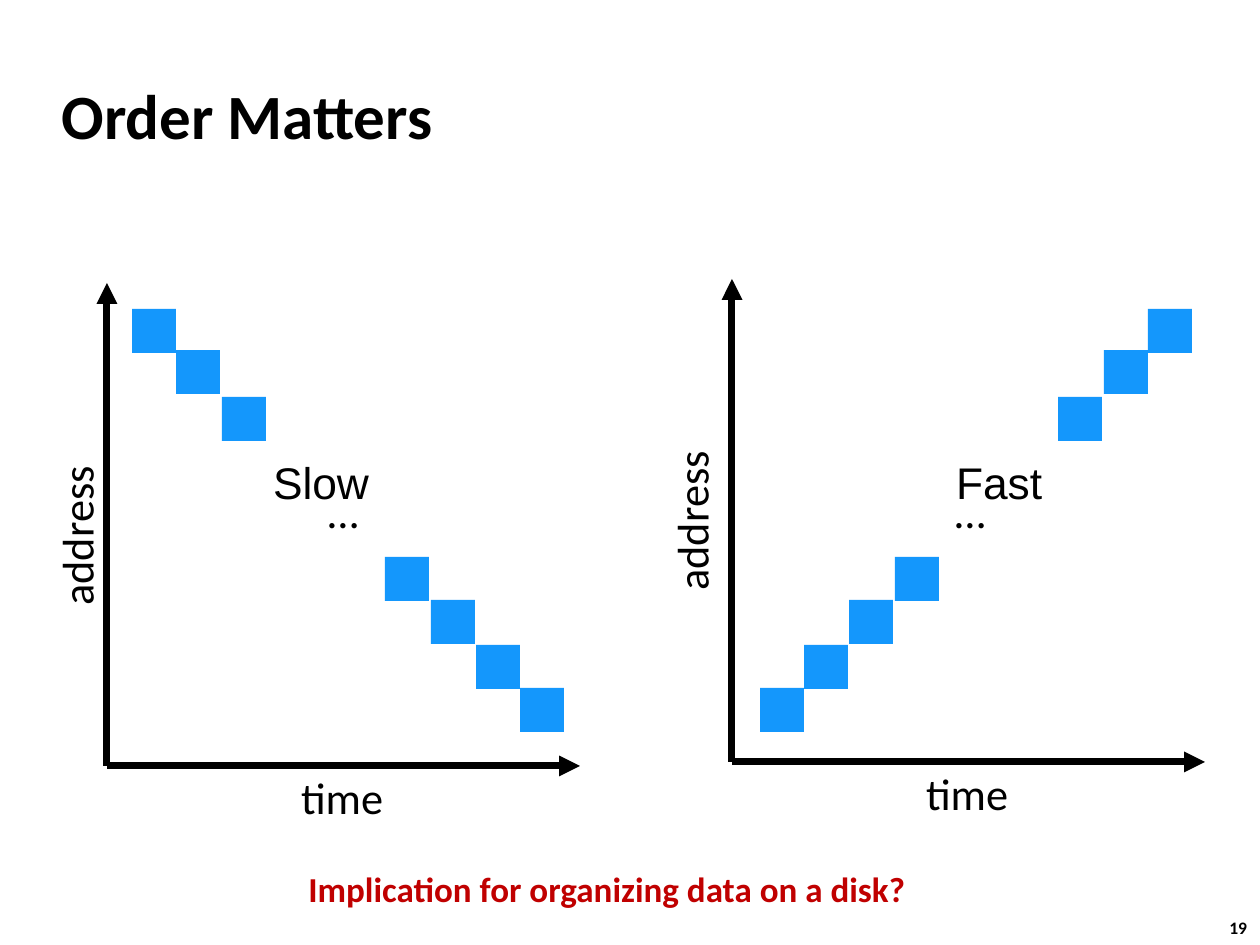
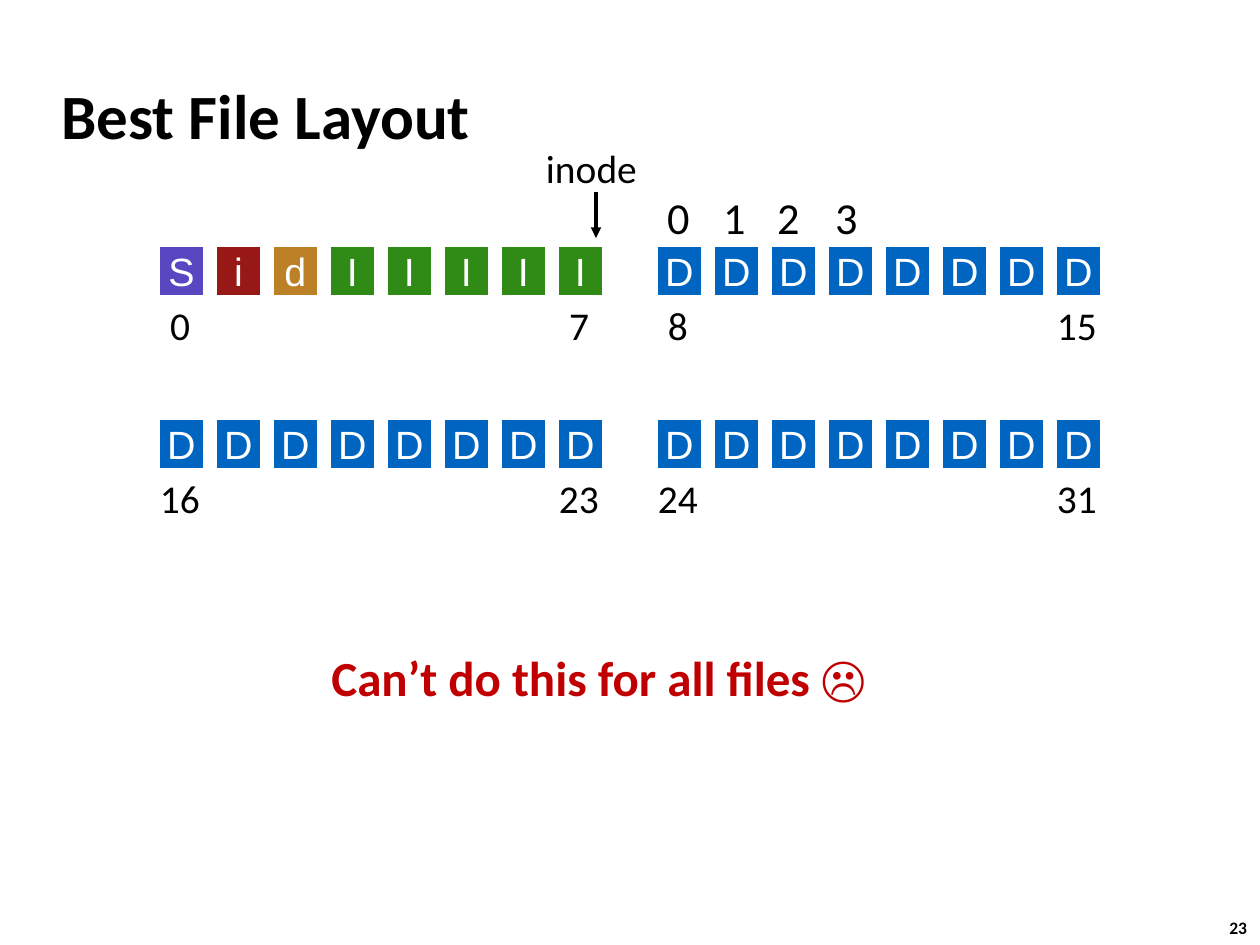
from dataclasses import dataclass

from lxml.etree import SubElement
from pptx import Presentation
from pptx.dml.color import RGBColor
from pptx.enum.shapes import MSO_CONNECTOR as CONN, MSO_SHAPE as SHAPE
from pptx.enum.text import MSO_ANCHOR as ANCHOR, MSO_AUTO_SIZE as AUTO, PP_ALIGN as ALIGN
from pptx.oxml.ns import qn
from pptx.util import Emu, Pt


@dataclass(frozen=True)
class Theme:
    head: str = "Calibri"
    body: str = "Arial"
    ink: str = "000000"
    paper: str = "FFFFFF"
    accent: str = "C00000"
    access: str = "1497FC"
    title: float = 36
    remark: float = 28
    question: float = 20
    label: float = 25.3
    cell: float = 22.5
    number: float = 10


T = Theme()
EMU_PER_PX = 914400 / 126
SLIDE = (1260, 945)
TITLE_BOX = (49, 62, 1046, 105)
NUMBER_BOX = (1217, 911, 47, 34)
TITLE_ONLY = 5

ORDER = {"title": "Order Matters", "number": "19"}
LAYOUT = {"title": "Best File Layout", "number": "23"}

# Access plots: disk blocks touched over time
AXIS_X, AXIS_Y = 473, 483
BLOCK = 44
RISING = [(760, 688), (804, 645), (849, 600), (895, 557),
          (1058, 397), (1104, 350), (1148, 309)]
MIRROR = 1280
FALLING = [(MIRROR - x, y) for x, y in RISING]
PLOTS = [
    {"origin": (732, 762), "blocks": RISING, "address": (616, 489),
     "dots": (950, 479), "speed": ("Fast", (951, 450, 97, 63))},
    {"origin": (107, 766), "blocks": FALLING, "address": (1, 504),
     "dots": (323, 479), "speed": ("Slow", (268, 450, 107, 63))},
]
QUESTION = ("Implication for organizing data on a disk?", (296, 861, 627, 55))

# Disk map: groups of eight blocks, two groups to a row
DISK = ["SidIIIII", "DDDDDDDD", "DDDDDDDD", "DDDDDDDD"]
KIND_FILL = {"S": "5747C1", "i": "971817", "d": "BC8027", "I": "308B16", "D": "0065C1"}
GROUP_X, ROW_Y = (157, 655), (244, 417)
CELL_W, CELL_H, PITCH = 49, 54, 57
DIGITS_W = {1: 30, 2: 50}
FILE_BLOCK_X = [662, 718, 772, 830]
INODE = ("inode", (541, 139, 102, 58))
INODE_ARROW = ((596, 192), (596, 238))
REMARK = ("Can’t do this for all files ☹", (319, 641, 563, 72))


def px(n):
    return Emu(round(n * EMU_PER_PX))


def rgb(color):
    return RGBColor.from_string(color)


def style(p, size, color=T.ink, font=T.head, bold=False):
    p.font.name, p.font.size, p.font.bold = font, Pt(size), bold
    p.font.color.rgb = rgb(color)


def set_insets(tf, inset):
    tf.margin_left = tf.margin_top = tf.margin_right = tf.margin_bottom = px(inset)


def add_text(s, text, box, size, **look):
    tb = s.shapes.add_textbox(*map(px, box))
    tf = tb.text_frame
    tf.word_wrap, tf.auto_size = False, AUTO.SHAPE_TO_FIT_TEXT
    tf.text = text
    style(tf.paragraphs[0], size, **look)
    return tb


def add_label(s, text, box, size=T.label, **look):
    """Add text with tight margins, centred vertically in its box."""
    tb = add_text(s, text, box, size, **look)
    tb.text_frame.vertical_anchor = ANCHOR.MIDDLE
    set_insets(tb.text_frame, 5)
    return tb


def add_rect(s, box, fill):
    sp = s.shapes.add_shape(SHAPE.RECTANGLE, *map(px, box))
    sp.shadow.inherit = False
    sp.fill.solid()
    sp.fill.fore_color.rgb = rgb(fill)
    sp.line.fill.background()
    return sp


def add_arrow(s, start, end, width):
    cx = s.shapes.add_connector(CONN.STRAIGHT, *map(px, start + end))
    cx.line.color.rgb = rgb(T.ink)
    cx.line.width = Pt(width)
    SubElement(cx.line._get_or_add_ln(), qn("a:tailEnd"), type="triangle")
    SubElement(cx._element.spPr, qn("a:effectLst"))


def add_slide(prs, title, number):
    s = prs.slides.add_slide(prs.slide_layouts[TITLE_ONLY])
    sp = s.shapes.title
    sp.left, sp.top, sp.width, sp.height = map(px, TITLE_BOX)
    tf = sp.text_frame
    tf.text = title
    tf.auto_size, tf.vertical_anchor = AUTO.NONE, ANCHOR.MIDDLE
    p = tf.paragraphs[0]
    p.alignment = ALIGN.LEFT
    style(p, T.title, bold=True)
    add_text(s, number, NUMBER_BOX, T.number, bold=True)
    return s


def add_plot(s, plot):
    x, y = plot["origin"]
    add_arrow(s, (x, y), (x + AXIS_X, y), 4)
    add_arrow(s, (x, y), (x, y - AXIS_Y), 4)
    add_label(s, "time", (x + 189, y - 1, 93, 63))
    add_label(s, "address", (*plot["address"], 150, 63)).rotation = 270
    for corner in plot["blocks"]:
        add_rect(s, (*corner, BLOCK, BLOCK), T.access)
    add_label(s, "…", (*plot["dots"], 40, 63))
    add_label(s, *plot["speed"], font=T.body)


def add_cell(s, kind, x, y):
    sp = add_rect(s, (x, y, CELL_W, CELL_H), KIND_FILL[kind])
    sp.line.color.rgb = rgb(T.paper)
    sp.line.width = Pt(3)
    tf = sp.text_frame
    tf.text = kind
    tf.vertical_anchor = ANCHOR.MIDDLE
    set_insets(tf, 0)
    p = tf.paragraphs[0]
    p.alignment = ALIGN.CENTER
    style(p, T.cell, T.paper, T.body)


def add_group(s, index, kinds):
    """Draw one group of blocks and number its first and last block."""
    row, col = divmod(index, len(GROUP_X))
    y = ROW_Y[row]
    for i, kind in enumerate(kinds):
        x = GROUP_X[col] + i * PITCH
        add_cell(s, kind, x, y)
        if i in (0, len(kinds) - 1):
            number = str(index * len(kinds) + i)
            w = DIGITS_W[len(number)]
            add_label(s, number, (x + (CELL_W - w) // 2 - 1, y + 52, w, 58), T.cell)


def build_order(prs):
    s = add_slide(prs, **ORDER)
    for plot in PLOTS:
        add_plot(s, plot)
    add_text(s, *QUESTION, T.question, color=T.accent, bold=True)


def build_layout(prs):
    s = add_slide(prs, **LAYOUT)
    for index, kinds in enumerate(DISK):
        add_group(s, index, kinds)
    for i, x in enumerate(FILE_BLOCK_X):
        add_label(s, str(i), (x, 185, 33, 63))
    add_label(s, *INODE, T.cell)
    add_arrow(s, *INODE_ARROW, 2)
    add_text(s, *REMARK, T.remark, color=T.accent, bold=True)


def main():
    prs = Presentation()
    prs.slide_width, prs.slide_height = map(px, SLIDE)
    build_order(prs)
    build_layout(prs)
    prs.save("out.pptx")


if __name__ == "__main__":
    main()
